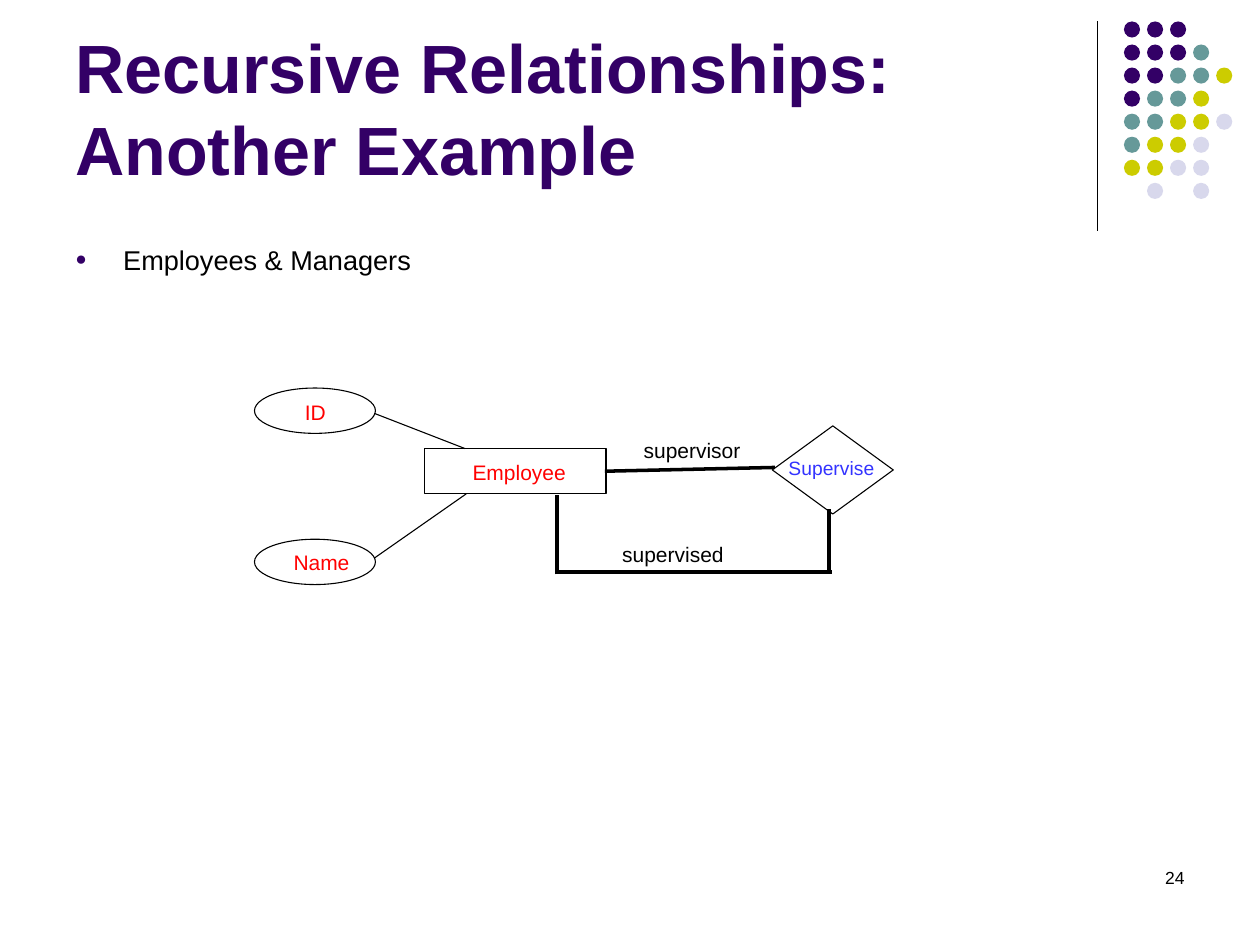
from dataclasses import dataclass

from lxml import etree
from pptx import Presentation
from pptx.dml.color import RGBColor
from pptx.enum.shapes import MSO_CONNECTOR, MSO_SHAPE
from pptx.enum.text import MSO_ANCHOR, MSO_AUTO_SIZE, PP_ALIGN
from pptx.oxml.ns import qn
from pptx.util import Inches, Pt

TOP, BOTTOM = MSO_ANCHOR.TOP, MSO_ANCHOR.BOTTOM
LEFT, RIGHT = PP_ALIGN.LEFT, PP_ALIGN.RIGHT
FIXED, GROW = MSO_AUTO_SIZE.NONE, MSO_AUTO_SIZE.SHAPE_TO_FIT_TEXT
OVAL, RECTANGLE, DIAMOND = MSO_SHAPE.OVAL, MSO_SHAPE.RECTANGLE, MSO_SHAPE.DIAMOND
STRAIGHT = MSO_CONNECTOR.STRAIGHT

FONT = "Arial"
PURPLE, TEAL, LIME, LILAC = "330066", "669999", "CCCC00", "D8D8EC"
BLACK, RED, BLUE = "000000", "FF0000", "3333FF"
THIN, THICK = 0.62, 2
PADDED, TIGHT = (0.1, 0.05), (0, 0)

DOT_COLORS = {"P": PURPLE, "T": TEAL, "L": LIME, "G": LILAC}
DOT_ROWS = ["PPP", "PPPT", "PPTTL", "PTTL", "TTLLG", "TLLG", "LLGG", " G G"]


@dataclass
class Grid:
    """A region whose lengths count cells from its top left corner."""
    left: float
    top: float
    cell: float

    def point(self, column, row):
        return (Inches(self.left + column * self.cell),
                Inches(self.top + row * self.cell))

    def box(self, column, row, columns, rows):
        return (*self.point(column, row),
                Inches(columns * self.cell), Inches(rows * self.cell))


def color(value):
    return RGBColor.from_string(value)


def add_text(page, box, text, size, ink, bold=False, align=LEFT,
             anchor=TOP, inset=PADDED, wrap=True):
    label = page.shapes.add_textbox(*box)
    frame = label.text_frame
    frame.word_wrap = wrap
    frame.auto_size = FIXED if wrap else GROW
    frame.vertical_anchor = anchor
    frame.margin_left = frame.margin_right = Inches(inset[0])
    frame.margin_top = frame.margin_bottom = Inches(inset[1])
    para = frame.paragraphs[0]
    para.alignment = align
    span = para.add_run()
    span.text = text
    span.font.name = FONT
    span.font.size = Pt(size)
    span.font.bold = bold
    span.font.color.rgb = color(ink)
    return para


def add_outline(page, kind, box):
    shape = page.shapes.add_shape(kind, *box)
    shape.shadow.inherit = False
    shape.fill.background()
    shape.line.color.rgb = color(BLACK)
    shape.line.width = Pt(THIN)


def add_line(page, start, end, width):
    line = page.shapes.add_connector(STRAIGHT, *start, *end)
    line.line.color.rgb = color(BLACK)
    line.line.width = Pt(width)
    etree.SubElement(line._element.spPr, qn("a:effectLst"))


def add_bullet(para, ink):
    properties = para._p.get_or_add_pPr()
    properties.set("marL", str(Inches(0.38)))
    properties.set("indent", str(Inches(-0.38)))
    ink_element = etree.SubElement(properties, qn("a:buClr"))
    etree.SubElement(ink_element, qn("a:srgbClr"), val=ink)
    etree.SubElement(properties, qn("a:buSzPct"), val="70000")
    etree.SubElement(properties, qn("a:buFont"), typeface=FONT)
    etree.SubElement(properties, qn("a:buChar"), char="●")


def add_dot_pattern(page, grid):
    for row, colors in enumerate(DOT_ROWS):
        for column, key in enumerate(colors):
            if key in DOT_COLORS:
                dot = page.shapes.add_shape(OVAL, *grid.box(column, row, 0.7, 0.7))
                dot.shadow.inherit = False
                dot.fill.solid()
                dot.fill.fore_color.rgb = color(DOT_COLORS[key])
                dot.line.fill.background()


def add_heading(page, grid):
    add_text(page, grid.box(0.5, 0.13, 8.25, 1.42),
             "Recursive Relationships: Another Example", 39, PURPLE,
             bold=True, anchor=BOTTOM)
    topic = add_text(page, grid.box(0.5, 1.88, 7.5, 0.37),
                     "Employees & Managers", 15.5, BLACK)
    add_bullet(topic, PURPLE)


def add_diagram(page, grid):
    outlines = [
        (RECTANGLE, (11.25, 4, 12, 3)),
        (OVAL, (0, 0, 8, 3)),
        (OVAL, (0, 10, 8, 3)),
        (DIAMOND, (34.25, 2.5, 8, 5.83)),
    ]
    for kind, cells in outlines:
        add_outline(page, kind, grid.box(*cells))

    lines = [
        ((13.92, 4), (7.92, 1.67), THIN),
        ((14, 7), (7.92, 11.25), THIN),
        ((23.17, 5.5), (34.42, 5.25), THICK),
        ((20, 12.17), (38.17, 12.17), THICK),
        ((38, 12.17), (38, 8), THICK),
        ((20, 12.33), (20, 7.08), THICK),
    ]
    for start, end, width in lines:
        add_line(page, grid.point(*start), grid.point(*end), width)

    labels = [
        ("Employee", (14.42, 4.75, 6.2, 1.67), 12, RED, TIGHT),
        ("ID", (3.33, 0.75, 1.42, 1.67), 12, RED, TIGHT),
        ("Name", (2.58, 10.67, 3.75, 1.67), 12, RED, TIGHT),
        ("Supervise", (34.5, 4.08, 7.33, 2.42), 11, BLUE, PADDED),
        ("supervisor", (24.92, 2.83, 8.08, 2.5), 12, BLACK, PADDED),
        ("supervised", (23.5, 9.75, 8.4, 2.5), 12, BLACK, PADDED),
    ]
    for text, cells, size, ink, inset in labels:
        add_text(page, grid.box(*cells), text, size, ink, inset=inset, wrap=False)


def main():
    deck = Presentation()
    deck.slide_width, deck.slide_height = Inches(10), Inches(7.5)
    page = deck.slides.add_slide(deck.slide_layouts[6])
    whole = Grid(0, 0, 1)
    add_line(page, whole.point(8.71, 0.17), whole.point(8.71, 1.83), 0.75)
    add_dot_pattern(page, Grid(8.92, 0.17, 0.183))
    add_heading(page, whole)
    add_text(page, whole.box(7.17, 6.83, 2.33, 0.5), "24", 10, BLACK, align=RIGHT)
    add_diagram(page, Grid(2.02, 3.08, 0.12))
    deck.save("out.pptx")


if __name__ == "__main__":
    main()
